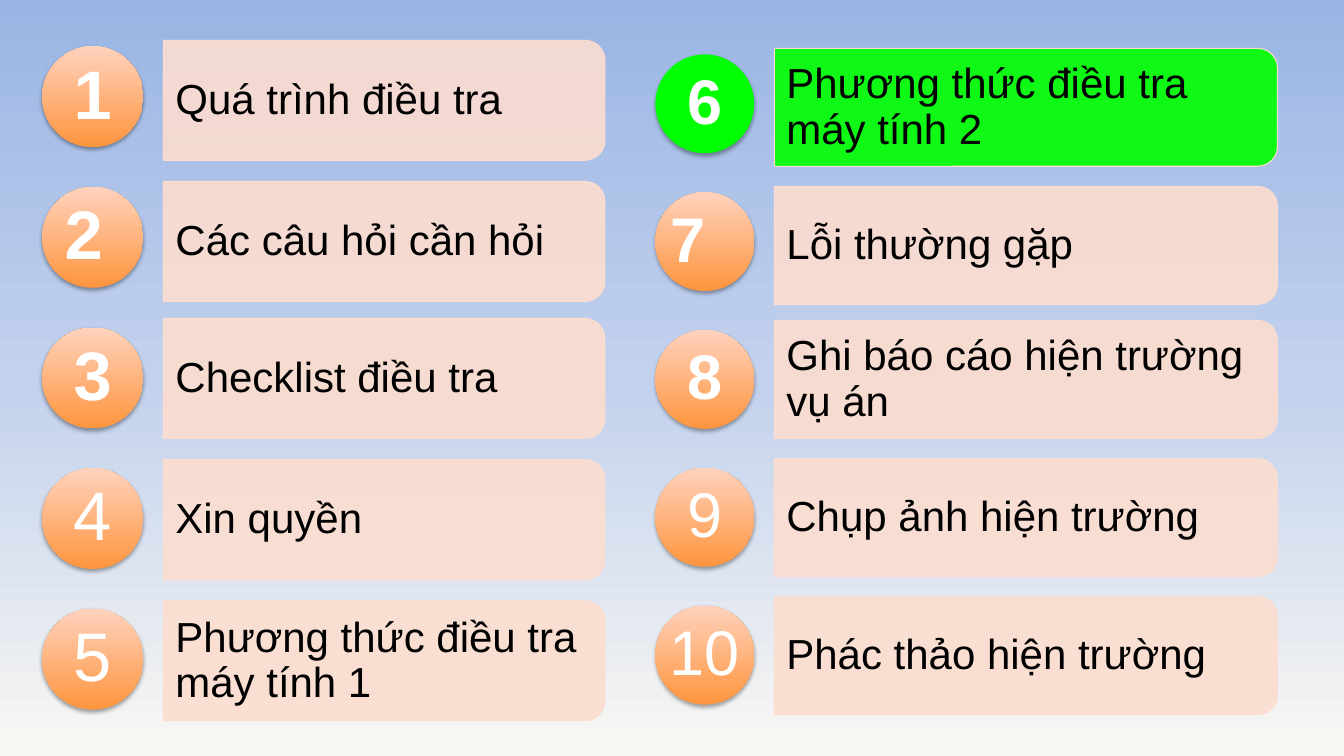
from lxml.etree import SubElement
from pptx import Presentation
from pptx.dml.color import RGBColor
from pptx.enum.shapes import MSO_SHAPE
from pptx.enum.text import MSO_ANCHOR, PP_ALIGN
from pptx.oxml.ns import qn
from pptx.util import Inches, Pt

COLORS = {
    "sky": "9AB5E4", "haze": "C2D1ED", "cream": "F8F7F3",
    "peach": "FCDDCF", "orange": "FF953E", "apricot": "FFD2BD",
    "active": "00FF00", "black": "000000", "white": "FFFFFF",
}

LABEL = {
    "font": {"name": "Arial", "size": Pt(30), "bold": False},
    "color": "black",
    "align": PP_ALIGN.LEFT,
    "margins": (0.12, 0.08, 0.12, 0.08),
}

LEFT_COLUMN = {
    "bar": (1.62, 0.4, 4.38, 1.19), "bar_pitch": 1.4, "label_width": 4.32,
    "circle": (0.42, 0.46, 1), "circle_last": 6.04, "number_size": 49,
    "items": [
        ("1", "Quá trình điều tra", True, 0),
        ("2", "Các câu hỏi cần hỏi", True, 0.18),
        ("3", "Checklist điều tra", True, 0),
        ("4", "Xin quyền", False, 0),
        ("5", "Phương thức điều tra máy tính 1", False, 0),
    ],
}

RIGHT_COLUMN = {
    "bar": (7.68, 0.48, 4.99, 1.17), "bar_pitch": 1.37, "label_width": 4.93,
    "circle": (6.5, 0.54, 0.98), "circle_last": 6.01, "number_size": 45,
    "items": [
        ("6", "Phương thức điều tra máy tính 2", True, 0),
        ("7", "Lỗi thường gặp", True, 0.34),
        ("8", "Ghi báo cáo hiện trường vụ án", True, 0),
        ("9", "Chụp ảnh hiện trường", False, 0),
        ("10", "Phác thảo hiện trường", False, 0),
    ],
}

ACTIVE_NUMBER = "6"


class Agenda:
    def __init__(self, prs):
        self.s = prs.slides.add_slide(prs.slide_layouts[6])
        self.group = None

    def rgb(self, name):
        return RGBColor.from_string(COLORS[name])

    def gradient(self, fill, element, stops, angle):
        fill.gradient()
        fill.gradient_angle = angle
        stop_list = next(element.iter(qn("a:gsLst")))
        for stop in list(stop_list):
            stop_list.remove(stop)
        for position, name in stops:
            stop = SubElement(stop_list, qn("a:gs"), pos=str(position * 1000))
            SubElement(stop, qn("a:srgbClr"), val=COLORS[name])

    def background(self):
        stops = [(0, "sky"), (50, "haze"), (100, "cream")]
        self.gradient(self.s.background.fill, self.s.element, stops, 270)

    def bar(self, x, y, w, h, color):
        sp = self.group.shapes.add_shape(
            MSO_SHAPE.ROUND_2_SAME_RECTANGLE,
            Inches(x + (w - h) / 2), Inches(y - (w - h) / 2), Inches(h), Inches(w))
        sp.rotation = 90
        sp.shadow.inherit = False
        sp.fill.solid()
        sp.fill.fore_color.rgb = self.rgb(color)
        fill_color = sp.element.spPr.find(qn("a:solidFill")).find(qn("a:srgbClr"))
        SubElement(fill_color, qn("a:alpha"), val="90000")
        sp.line.color.rgb = self.rgb("peach")
        sp.line.width = Pt(0.75)

    def circle(self, x, y, size, active):
        sp = self.group.shapes.add_shape(
            MSO_SHAPE.OVAL, Inches(x), Inches(y), Inches(size), Inches(size))
        if active:
            sp.fill.solid()
            sp.fill.fore_color.rgb = self.rgb("active")
        else:
            stops = [(0, "orange"), (100, "apricot")]
            self.gradient(sp.fill, sp.element, stops, 90)
        sp.line.fill.background()
        sp.shadow.inherit = False
        effects = sp.element.spPr.find(qn("a:effectLst"))
        shadow = SubElement(
            effects, qn("a:outerShdw"), blurRad=str(Pt(3.1)), dist=str(Pt(1.8)),
            dir="5400000", rotWithShape="0")
        shadow_color = SubElement(shadow, qn("a:srgbClr"), val=COLORS["black"])
        SubElement(shadow_color, qn("a:alpha"), val="35000")

    def text(self, x, y, w, h, text, style):
        sp = self.group.shapes.add_textbox(Inches(x), Inches(y), Inches(w), Inches(h))
        tf = sp.text_frame
        tf.word_wrap = True
        tf.vertical_anchor = MSO_ANCHOR.MIDDLE
        for side, margin in zip(("left", "top", "right", "bottom"), style["margins"]):
            setattr(tf, f"margin_{side}", Inches(margin))
        p = tf.paragraphs[0]
        p.alignment = style["align"]
        p.line_spacing = 0.9
        r = p.add_run()
        r.text = text
        for name, value in style["font"].items():
            setattr(r.font, name, value)
        r.font.color.rgb = self.rgb(style["color"])

    def column(self, col):
        self.group = self.s.shapes.add_group_shape()
        bar_x, bar_top, bar_w, bar_h = col["bar"]
        circle_x, circle_top, size = col["circle"]
        circle_pitch = (col["circle_last"] - circle_top) / (len(col["items"]) - 1)
        for i, (number, label, bold, margin_right) in enumerate(col["items"]):
            active = number == ACTIVE_NUMBER
            bar_y = bar_top + i * col["bar_pitch"] - (0.04 if i > 1 else 0)
            self.bar(bar_x, bar_y, bar_w, bar_h, "active" if active else "peach")
            self.text(bar_x, bar_y + 0.06, col["label_width"], bar_h - 0.11, label, LABEL)
            circle_y = circle_top + i * circle_pitch
            self.circle(circle_x, circle_y, size, active)
            number_style = {
                "font": {"name": "Arial", "size": Pt(col["number_size"]), "bold": bold},
                "color": "white",
                "align": PP_ALIGN.CENTER,
                "margins": (0, 0, margin_right, 0),
            }
            inset = 0.14
            side = size - 2 * inset
            self.text(circle_x + inset, circle_y + inset, side, side, number, number_style)


def main():
    prs = Presentation()
    prs.slide_width = Inches(13.33)
    prs.slide_height = Inches(7.5)
    agenda = Agenda(prs)
    agenda.background()
    for col in (LEFT_COLUMN, RIGHT_COLUMN):
        agenda.column(col)
    prs.save("out.pptx")


if __name__ == "__main__":
    main()
